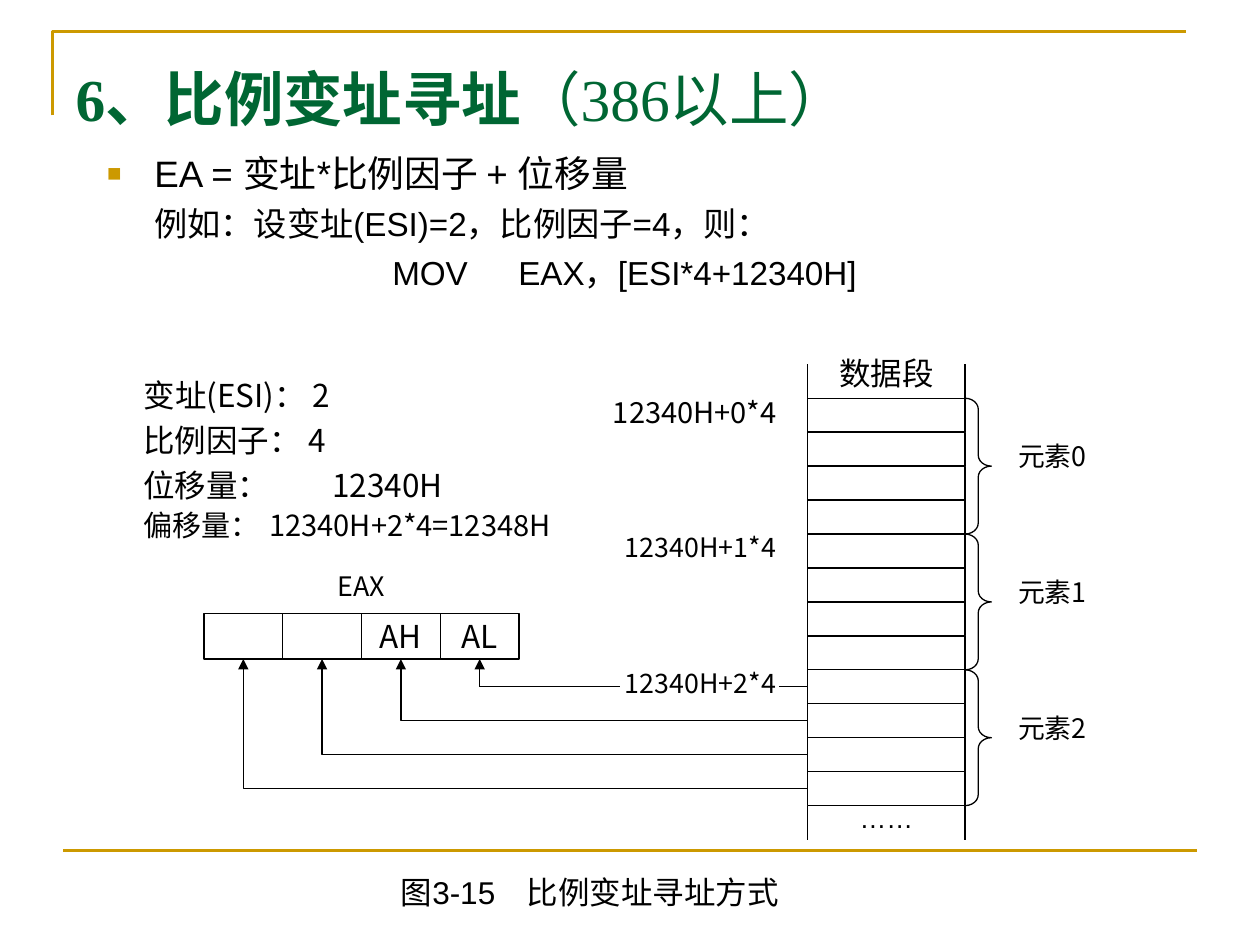
"""Build a slide that explains scaled index addressing with a memory diagram."""
from lxml import etree
from pptx import Presentation
from pptx.dml.color import RGBColor
from pptx.enum import shapes, text as text_enum
from pptx.oxml import ns
from pptx.util import Pt

COLORS = {"text": "000000", "title": "006633", "accent": "CC9900"}
CJK_FONT = "Noto Sans CJK SC"
ALIGN = text_enum.PP_ALIGN
ANCHOR = text_enum.MSO_ANCHOR
SHAPE = shapes.MSO_SHAPE
CONNECTOR = shapes.MSO_CONNECTOR

MEMORY_LEFT, MEMORY_TOP, MEMORY_WIDTH, ROW_HEIGHT = 461.5, 227.6, 90, 19.4
MEMORY_RIGHT = MEMORY_LEFT + MEMORY_WIDTH
ROW_COUNT, ROWS_PER_ELEMENT = 12, 4
MEMORY_BOTTOM = MEMORY_TOP + ROW_COUNT * ROW_HEIGHT
REGISTER_LEFT, REGISTER_TOP, REGISTER_WIDTH, REGISTER_HEIGHT = 116.6, 350.6, 45, 26


def color(name):
    """Return a named colour."""
    return RGBColor.from_string(COLORS[name])


def add_element(parent, tag, **attributes):
    """Append a drawing element with the given attributes."""
    return etree.SubElement(parent, ns.qn(tag), attributes)


def format_paragraph(paragraph, align=ALIGN.LEFT, spacing=1.0, before=0,
                     margin=0, hanging=0, bullet=None, tab=None):
    """Set the bullet, tab stop, indents, spacing and alignment."""
    properties = paragraph._p.get_or_add_pPr()
    properties.set("marL", str(Pt(margin)))
    properties.set("indent", str(-Pt(hanging)))
    if bullet:
        add_element(add_element(properties, "a:buClr"), "a:srgbClr", val=COLORS["accent"])
        add_element(properties, "a:buSzPct", val="65000")
        add_element(properties, "a:buChar", char=bullet)
    else:
        add_element(properties, "a:buNone")
    if tab:
        add_element(add_element(properties, "a:tabLst"), "a:tab", pos=str(Pt(tab)), algn="l")
    paragraph.alignment = align
    paragraph.line_spacing = spacing
    paragraph.space_before = Pt(before)


def write(paragraph, text, size=18, font=CJK_FONT, fill="text", bold=False, **layout):
    """Add a formatted run, and lay out its paragraph if asked."""
    if layout:
        format_paragraph(paragraph, **layout)
    run = paragraph.add_run()
    run.text = text
    run.font.size = Pt(size)
    run.font.bold = bold
    run.font.color.rgb = color(fill)
    run.font.name = font
    add_element(run._r.get_or_add_rPr(), "a:ea", typeface=CJK_FONT)


def set_frame(shape, anchor=ANCHOR.TOP, side=0, edge=0):
    """Prepare a text frame and return it."""
    frame = shape.text_frame
    frame.word_wrap = True
    frame.auto_size = text_enum.MSO_AUTO_SIZE.NONE
    frame.vertical_anchor = anchor
    frame.margin_left = frame.margin_right = Pt(side)
    frame.margin_top = frame.margin_bottom = Pt(edge)
    return frame


def add_label(slide, left, top, width, height, text, align=ALIGN.LEFT, **style):
    """Add a text box with one paragraph."""
    box = slide.shapes.add_textbox(Pt(left), Pt(top), Pt(width), Pt(height))
    write(set_frame(box).paragraphs[0], text, align=align, **style)


def add_outline(slide, kind, left, top, width, height):
    """Add an unfilled shape with a thin black outline."""
    shape = slide.shapes.add_shape(kind, Pt(left), Pt(top), Pt(width), Pt(height))
    shape.shadow.inherit = False
    shape.fill.background()
    shape.line.color.rgb = color("text")
    shape.line.width = Pt(0.75)
    return shape


def add_line(slide, start, end, kind=CONNECTOR.STRAIGHT, fill="text", width=0.75, arrow=False):
    """Add a connector, with an arrowhead at its end if asked."""
    line = slide.shapes.add_connector(kind, *(Pt(value) for value in (*start, *end)))
    line.line.color.rgb = color(fill)
    line.line.width = Pt(width)
    if arrow:
        add_element(line.line._get_or_add_ln(), "a:tailEnd", type="triangle")
    add_element(line._element.spPr, "a:effectLst")
    return line


def place(shape, left, top, width, height):
    """Move and size a placeholder."""
    shape.left, shape.top = Pt(left), Pt(top)
    shape.width, shape.height = Pt(width), Pt(height)


def add_frame_lines(slide):
    """Draw the corner line at the top and the rule at the bottom."""
    builder = slide.shapes.build_freeform(Pt(30), Pt(66))
    builder.add_line_segments([(Pt(30), Pt(18)), (Pt(678), Pt(18))], close=False)
    corner = builder.convert_to_shape()
    corner.shadow.inherit = False
    corner.fill.background()
    corner.line.color.rgb = color("accent")
    corner.line.width = Pt(1.5)
    add_line(slide, (36, 486), (684, 486), fill="accent", width=1.5)


def add_heading(slide):
    """Fill the title and body placeholders."""
    title, body = slide.placeholders
    place(title, 36, 31.7, 648, 63.4)
    paragraph = set_frame(title, side=7.2, edge=3.6).paragraphs[0]
    style = {"size": 34, "font": "Times New Roman", "fill": "title"}
    write(paragraph, "6、比例变址寻址", bold=True, align=ALIGN.LEFT, **style)
    write(paragraph, "（386以上）", **style)

    place(body, 54, 82.8, 612, 102.2)
    frame = set_frame(body, side=7.2, edge=3.6)
    write(frame.paragraphs[0], "EA = 变址*比例因子 + 位移量", size=21, font="Arial",
          margin=27, hanging=27, bullet="■")
    write(frame.add_paragraph(), "例如：设变址(ESI)=2，比例因子=4，则：", size=19, font="Arial",
          margin=27, before=4.8)
    write(frame.add_paragraph(), "MOV\tEAX，[ESI*4+12340H]", size=19, font="Arial",
          margin=163, tab=227, before=5.2)


def add_memory(slide):
    """Draw the data segment with its elements and return its rows."""
    rows = [add_outline(slide, SHAPE.RECTANGLE, MEMORY_LEFT, MEMORY_TOP + index * ROW_HEIGHT,
                        MEMORY_WIDTH, ROW_HEIGHT) for index in range(ROW_COUNT)]
    for x in (MEMORY_LEFT, MEMORY_RIGHT):
        for y in (MEMORY_TOP - ROW_HEIGHT, MEMORY_BOTTOM):
            add_line(slide, (x, y), (x, y + ROW_HEIGHT))
    element_height = ROWS_PER_ELEMENT * ROW_HEIGHT
    for index, size in enumerate((16.6, 15.3, 15.3)):
        top = MEMORY_TOP + index * element_height
        brace = add_outline(slide, SHAPE.RIGHT_BRACE, MEMORY_RIGHT, top, 15, element_height)
        brace.adjustments[0] = 0.42
        add_label(slide, 581.8, top + 26, 45.4, 26, f"元素{index}", size=15.3, spacing=0.9)
        add_label(slide, 341, top, 102.6, 20, f"12340H+{index}*4", size=size,
                  align=ALIGN.RIGHT, spacing=0.9)
    add_label(slide, MEMORY_LEFT, 202.3, MEMORY_WIDTH, 26, "数据段", align=ALIGN.CENTER)
    add_label(slide, MEMORY_LEFT, 458, MEMORY_WIDTH, 19.4, "……", size=15.3, font="Arial",
              align=ALIGN.CENTER)
    return rows


def add_register(slide):
    """Draw the EAX register and return its cells."""
    cells = []
    for index, name in enumerate(("", "", "AH", "AL")):
        cell = add_outline(slide, SHAPE.RECTANGLE, REGISTER_LEFT + index * REGISTER_WIDTH,
                           REGISTER_TOP, REGISTER_WIDTH, REGISTER_HEIGHT)
        if name:
            write(set_frame(cell, ANCHOR.MIDDLE).paragraphs[0], name, align=ALIGN.CENTER)
        cells.append(cell)
    add_label(slide, 190, 327.6, 33, 19.4, "EAX", size=15.3, align=ALIGN.CENTER, spacing=0.9)
    return cells


def add_transfers(slide, rows, cells):
    """Join the rows of element 2 to the register cells."""
    first, *others = rows[-ROWS_PER_ELEMENT:]
    *targets, low_cell = cells
    for row, cell in zip(others, reversed(targets)):
        link = add_line(slide, (0, 0), (0, 0), kind=CONNECTOR.ELBOW, arrow=True)
        link._element.spPr.find(ns.qn("a:prstGeom")).set("prst", "bentConnector2")
        link.begin_connect(row, 1)
        link.end_connect(cell, 2)
    y = MEMORY_TOP + 8.5 * ROW_HEIGHT
    x = REGISTER_LEFT + 3.5 * REGISTER_WIDTH
    add_line(slide, (MEMORY_LEFT, y), (445, y)).begin_connect(first, 1)
    add_line(slide, (354.2, y), (x, y))
    add_line(slide, (x, y), (x, REGISTER_TOP + REGISTER_HEIGHT),
             arrow=True).end_connect(low_cell, 2)


def add_values(slide):
    """List the address parts and add the caption."""
    add_label(slide, 82, 214.6, 168, 27, "变址(ESI)： 2")
    add_label(slide, 82, 240.5, 150, 27, "比例因子： 4")
    add_label(slide, 82, 266.4, 191, 27, "位移量：\t12340H", tab=89)
    add_label(slide, 82, 292.3, 258, 24, "偏移量：\t12340H+2*4=12348H", size=16.6,
              spacing=0.9, tab=82)
    add_label(slide, 103, 499, 470, 26, "图3-15\t比例变址寻址方式", font="Arial",
              margin=126, tab=199)


def main():
    """Build and save the presentation."""
    presentation = Presentation()
    presentation.slide_width, presentation.slide_height = Pt(720), Pt(540)
    slide = presentation.slides.add_slide(presentation.slide_layouts[1])
    add_frame_lines(slide)
    add_heading(slide)
    rows = add_memory(slide)
    cells = add_register(slide)
    add_transfers(slide, rows, cells)
    add_values(slide)
    presentation.save("out.pptx")


if __name__ == "__main__":
    main()
